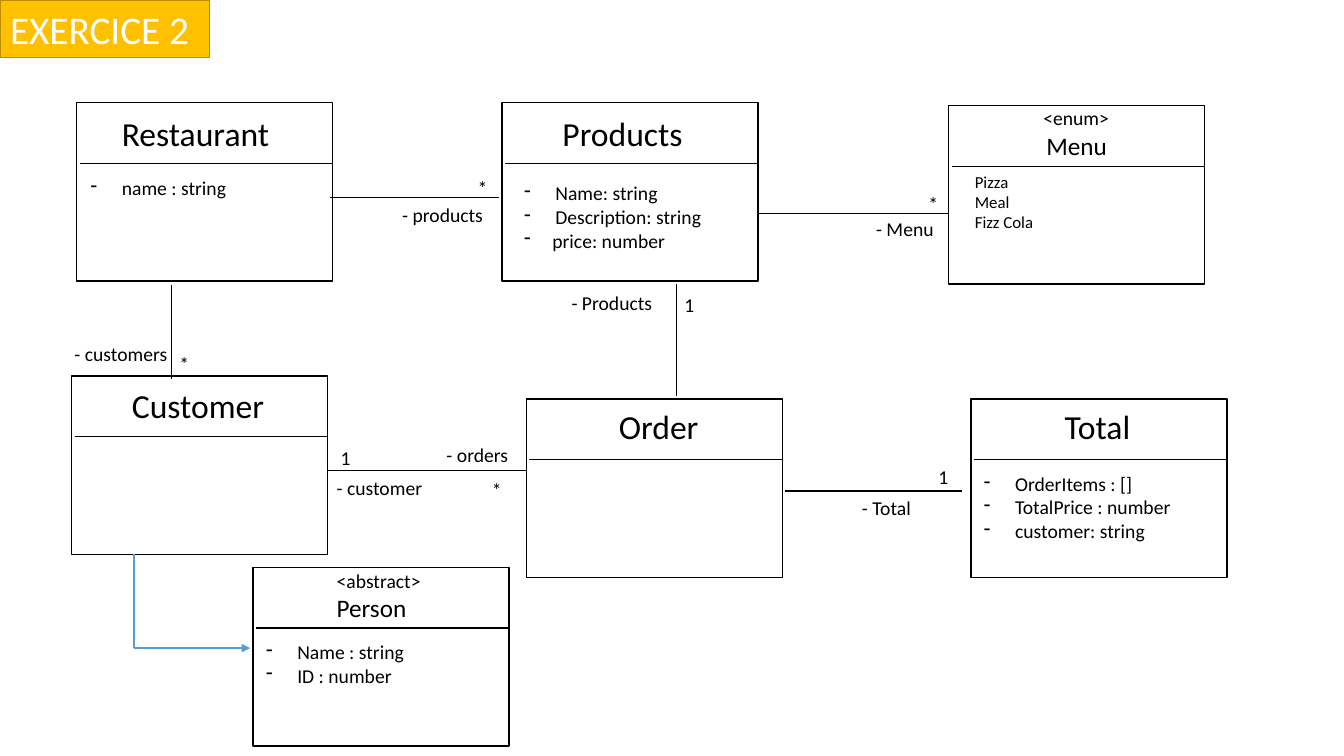
import pptx
import pptx.dml.color
import pptx.enum.shapes
import pptx.enum.text
import pptx.oxml.ns
import pptx.util
from lxml import etree

PX = 9144  # 100 px to the inch
FONT = "Calibri"
COLORS = {"ink": "000000", "paper": "FFFFFF", "banner": "FFC000",
          "banner_edge": "BD8E00", "inherit": "5B9BD5"}
CLASS_WIDTH, CLASS_HEIGHT, HEADING_HEIGHT, DIVIDER_INSET = 254, 177, 60, 3
BULLET_INDENT, NARROW_INDENT = 31, 28

TITLE = "EXERCICE 2"
# left, top of each class box: Restaurant, Products, Menu, Customer, Order, Total, Person
CLASSES = [(76, 102), (498, 102), (941, 105), (71, 373), (522, 396), (963, 396), (251, 563)]
# text, left, top, width, size
LABELS = [
    ("Restaurant", 111, 107, 168, 24), ("Products", 548, 107, 140, 24),
    ("Menu", 1028, 124, 81, 18), ("<enum>", 1025, 100, 86, 14),
    ("Customer", 121, 377, 153, 24), ("Order", 604, 398, 100, 24),
    ("Total", 1046, 398, 86, 24),
    ("Person", 324, 583, 90, 18), ("<abstract>", 324, 559, 105, 14),
    ("*", 464, 170, 30, 14), ("- products", 389, 196, 101, 14),
    ("*", 911, 185, 30, 14), ("- Menu", 859, 210, 78, 14),
    ("*", 168, 344, 30, 14), ("- customers", 64, 334, 113, 14),
    ("1", 669, 286, 30, 14), ("- Products", 557, 284, 101, 14),
    ("1", 328, 437, 30, 14), ("- customer", 324, 467, 106, 14),
    ("- orders", 433, 434, 82, 14), ("*", 478, 469, 30, 14),
    ("1", 921, 456, 30, 14), ("- Total", 845, 487, 69, 14),
]
# lines, left, top, width, size, indent of each line (0 for no dash)
MEMBERS = [
    (["name : string"], 80, 170, 198, 14, [BULLET_INDENT]),
    (["Name: string", "Description: string", "price: number"], 510, 175, 198, 14,
     [BULLET_INDENT, BULLET_INDENT, NARROW_INDENT]),
    (["Pizza", "Meal", "Fizz Cola"], 957, 165, 89, 12, [0] * 3),
    (["OrderItems : []", "TotalPrice : number", "customer: string"], 966, 463, 207, 14,
     [BULLET_INDENT] * 3),
    (["Name : string", "ID : number"], 254, 630, 158, 14, [BULLET_INDENT] * 2),
]
# x1, y1, x2, y2
ASSOCIATIONS = [
    (327, 196, 495, 196), (752, 212, 941, 212), (170, 283, 170, 376),
    (671, 282, 671, 393), (324, 467, 522, 467), (779, 487, 954, 487),
]
INHERITANCE = [(133, 550, 133, 643), (133, 643, 248, 643)]


def color(name):
    return pptx.dml.color.RGBColor.from_string(COLORS[name])


def box(left, top, width, height):
    return [value * PX for value in (left, top, width, height)]


def paint(shape, fill, line):
    shape.fill.solid()
    shape.fill.fore_color.rgb = color(fill)
    shape.line.color.rgb = color(line)
    shape.line.width = pptx.util.Pt(1)


def set_font(paragraph, size, font_color):
    paragraph.font.name = FONT
    paragraph.font.size = pptx.util.Pt(size)
    paragraph.font.color.rgb = color(font_color)


def add_dash(paragraph, indent, size):
    """Hang a dash before the line; the dash takes its size from the first run."""
    properties = paragraph._p.get_or_add_pPr()
    properties.set("marL", str(indent * PX))
    properties.set("indent", str(-indent * PX))
    bullet = etree.Element(pptx.oxml.ns.qn("a:buChar"), char="-")
    properties.insert_element_before(bullet, "a:tabLst", "a:defRPr", "a:extLst")
    paragraph.runs[0].font.size = pptx.util.Pt(size)


def add_text(slide, lines, left, top, width, size, indents):
    height = round(10 + len(lines) * size * 1.22 * 100 / 72)
    frame = slide.shapes.add_textbox(*box(left, top, width, height)).text_frame
    frame.word_wrap = any(indents)
    frame.text = "\n".join(lines)
    for paragraph, indent in zip(frame.paragraphs, indents):
        set_font(paragraph, size, "ink")
        if indent:
            add_dash(paragraph, indent, size)


def add_line(slide, ends, line_color="ink", width=1, arrow=False):
    connector = slide.shapes.add_connector(
        pptx.enum.shapes.MSO_CONNECTOR.STRAIGHT, *box(*ends))
    connector.line.color.rgb = color(line_color)
    connector.line.width = pptx.util.Pt(width)
    if arrow:
        etree.SubElement(connector.line._get_or_add_ln(),
                         pptx.oxml.ns.qn("a:tailEnd"), type="triangle")
    etree.SubElement(connector._element.spPr, pptx.oxml.ns.qn("a:effectLst"))


def add_class(slide, left, top):
    shape = slide.shapes.add_shape(pptx.enum.shapes.MSO_SHAPE.RECTANGLE,
                                   *box(left, top, CLASS_WIDTH, CLASS_HEIGHT))
    shape.shadow.inherit = False
    paint(shape, "paper", "ink")
    divider = top + HEADING_HEIGHT
    add_line(slide, (left + DIVIDER_INSET, divider, left + CLASS_WIDTH, divider))


def set_title(slide):
    title = slide.shapes.title
    title.left, title.top, title.width, title.height = box(0, 0, 208, 57)
    paint(title, "banner", "banner_edge")
    frame = title.text_frame
    frame.text = TITLE
    frame.word_wrap = False
    frame.auto_size = pptx.enum.text.MSO_AUTO_SIZE.NONE
    frame.vertical_anchor = pptx.enum.text.MSO_ANCHOR.TOP
    paragraph = frame.paragraphs[0]
    paragraph.alignment = pptx.enum.text.PP_ALIGN.LEFT
    set_font(paragraph, 28, "paper")


def main():
    presentation = pptx.Presentation()
    presentation.slide_width, presentation.slide_height = 1333 * PX, 750 * PX
    slide = presentation.slides.add_slide(presentation.slide_layouts[5])
    set_title(slide)
    for left, top in CLASSES:
        add_class(slide, left, top)
    for ends in ASSOCIATIONS:
        add_line(slide, ends)
    for number, ends in enumerate(INHERITANCE, 1):
        add_line(slide, ends, "inherit", 1.5, arrow=number == len(INHERITANCE))
    for text, left, top, width, size in LABELS:
        add_text(slide, [text], left, top, width, size, [0])
    for member in MEMBERS:
        add_text(slide, *member)
    presentation.save("out.pptx")


if __name__ == "__main__":
    main()
